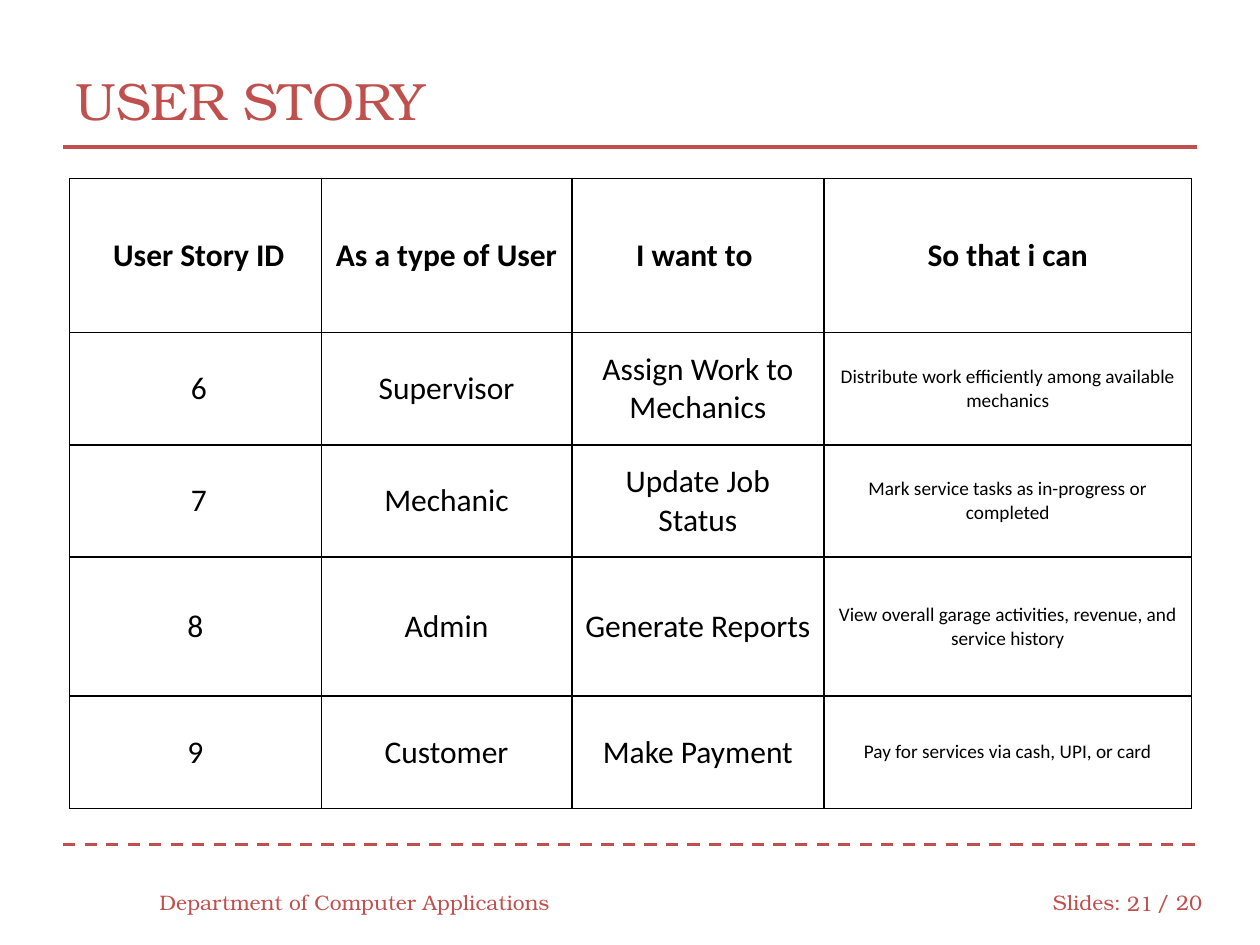
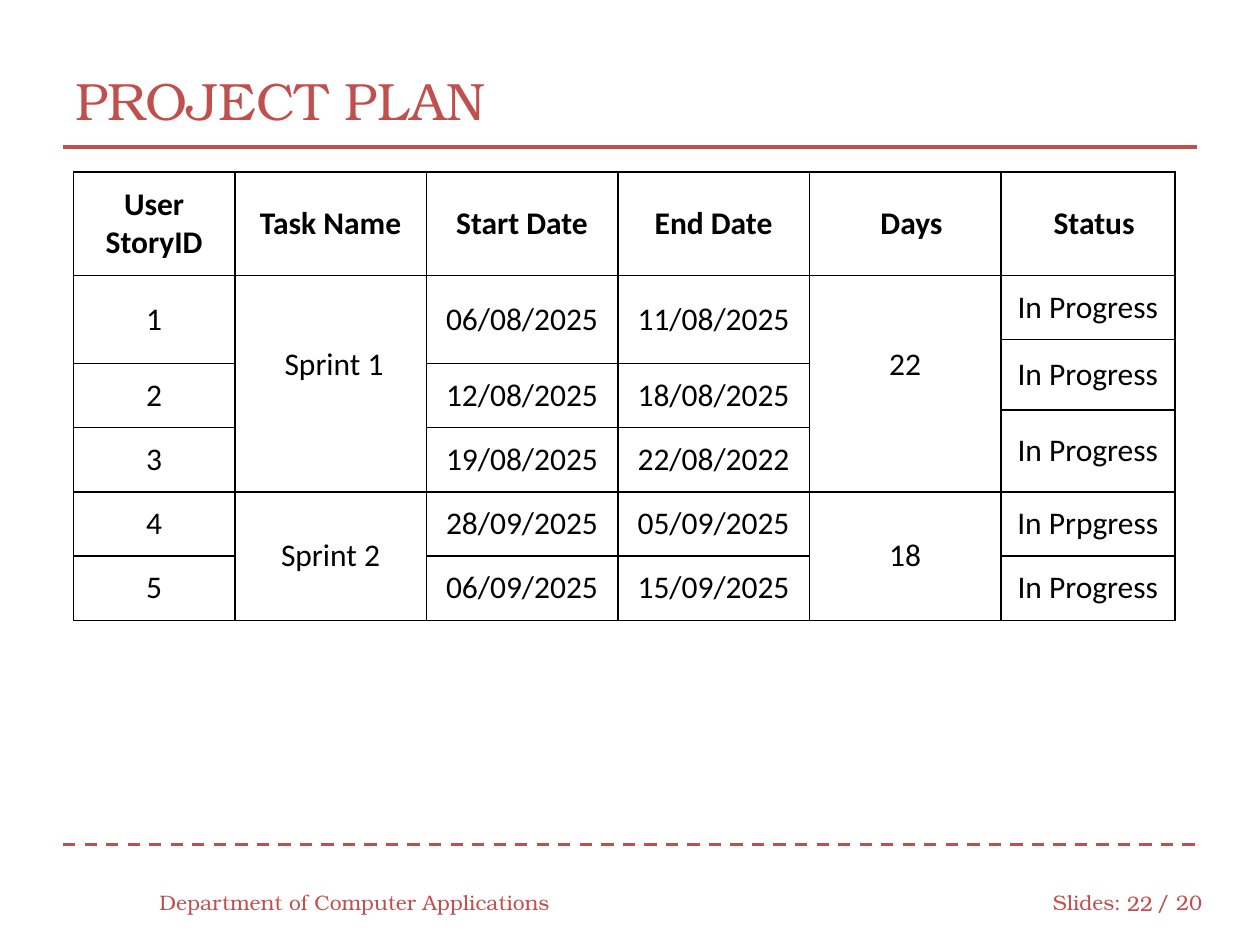
from pptx import Presentation
from pptx import util as u
from pptx.dml.color import RGBColor
from pptx.enum import dml, shapes, text
from pptx.oxml import parse_xml
from pptx.oxml.ns import nsdecls
from lxml import etree

RED = RGBColor(0xC0, 0x50, 0x4D)
BLACK = RGBColor(0, 0, 0)
WHITE = RGBColor(0xFF, 0xFF, 0xFF)
DISPLAY_FONT = "TeX Gyre Bonum"
TABLE_FONT = "Calibri"
UNIT = u.Inches(1) // 12
CELL_MARGIN = u.Inches(0.1)
LEFT, RIGHT = text.PP_ALIGN.LEFT, text.PP_ALIGN.RIGHT

TITLE_BOX = (6, 4, 108, 11)
FOOTER_BOX = (14, 83.5, 100, 4.8)
STORY_BOX = (6.6, 17, 106.9, 60)
PLAN_BOX = (7, 16.4, 104.9, 42.7)

STORY_COLS = [2, 1.99, 2, 2.92]
STORY_ROWS = [1.22, 0.89, 0.89, 1.1, 0.89]
STORIES = [
    [" User Story ID", "As a type of User", "I want to ", "So that i can"],
    [" 6", "Supervisor", "Assign Work to Mechanics",
     "Distribute work efficiently among available mechanics"],
    [" 7", "Mechanic", "Update Job Status",
     "Mark service tasks as in-progress or completed"],
    ["8", "Admin", "Generate Reports",
     "View overall garage activities, revenue, and service history"],
    ["9", "Customer", "Make Payment", "Pay for services via cash, UPI, or card"],
]

PLAN_COLS = [1.28, 1.52, 1.52, 1.52, 1.52, 1.38]
PLAN_ROWS = [0.82, 0.51, 0.19, 0.37, 0.14, 0.51, 0.51, 0.51]
PLAN_HEADERS = ["User\nStoryID", "Task Name", "Start Date", "End Date", "Days", "Status"]
TASKS = [
    (1, 2, "1", "06/08/2025", "11/08/2025"),
    (3, 2, "2", "12/08/2025", "18/08/2025"),
    (5, 1, "3", "19/08/2025", "22/08/2022"),
    (6, 1, "4", "28/09/2025", "05/09/2025"),
    (7, 1, "5", "06/09/2025", "15/09/2025"),
]
SPRINTS = [(1, 5, " Sprint 1", "22"), (6, 2, "Sprint 2", "18")]
STATUSES = [
    (1, 1, "In Progress"),
    (2, 2, "In Progress"),
    (4, 2, "In Progress"),
    (6, 1, "In Prpgress"),
    (7, 1, "In Progress"),
]


def grid(*values):
    return [round(v * UNIT) for v in values]


def add_run(p, content, size, font, color, bold=False):
    r = p.add_run()
    r.text = content
    r.font.size = u.Pt(size)
    r.font.name = font
    r.font.color.rgb = color
    r.font.bold = bold


def add_label(s, box, content, size=12, align=LEFT):
    tf = s.shapes.add_textbox(*grid(*box)).text_frame
    tf.word_wrap = True
    tf.vertical_anchor = text.MSO_ANCHOR.MIDDLE
    p = tf.paragraphs[0]
    p.alignment = align
    add_run(p, content, size, DISPLAY_FONT, RED)


def add_rule(s, x, y, w, dash=None):
    line = s.shapes.add_connector(shapes.MSO_CONNECTOR.STRAIGHT, *grid(x, y, x + w, y))
    line.line.color.rgb = RED
    line.line.width = u.Pt(1.75)
    if dash:
        line.line.dash_style = dash
    line._element.spPr.append(parse_xml(f"<a:effectLst {nsdecls('a')}/>"))


def add_header(s, box, title):
    x, y, w, h = box
    add_rule(s, x, y + h - 1, w)
    add_label(s, box, title, 30)


def add_footer(s, box, number):
    x, y, w, h = box
    add_rule(s, TITLE_BOX[0], y - 3.1, TITLE_BOX[2], dml.MSO_LINE.DASH)
    add_label(s, (x, y, 0.4 * w, h), "Department of Computer Applications")
    add_label(s, (x + 0.851 * w, y, 0.09 * w, h), "Slides:")
    add_label(s, (x + 0.92 * w, y + 0.1, 0.05 * w, h), number, align=RIGHT)
    add_label(s, (x + 0.95 * w, y, 0.07 * w, h), "/ 20")


def style_cell(cell):
    cell.fill.solid()
    cell.fill.fore_color.rgb = WHITE
    cell.vertical_anchor = text.MSO_ANCHOR.MIDDLE
    cell.margin_left = cell.margin_right = CELL_MARGIN
    cell.margin_top = cell.margin_bottom = CELL_MARGIN
    tcPr = cell._tc.get_or_add_tcPr()
    for i, side in enumerate(("lnL", "lnR", "lnT", "lnB")):
        border = etree.fromstring(
            f'<a:{side} {nsdecls("a")} w="12700"><a:solidFill>'
            f'<a:srgbClr val="{BLACK}"/></a:solidFill></a:{side}>')
        tcPr.insert(i, border)


def add_table(s, box, cols, rows):
    x, y, w, h = box
    table = s.shapes.add_table(len(rows), len(cols), *grid(x, y, w, h)).table
    for col, share in zip(table.columns, cols):
        col.width = round(w * UNIT * share / sum(cols))
    for row, share in zip(table.rows, rows):
        row.height = round(h * UNIT * share / sum(rows))
    for cell in table.iter_cells():
        style_cell(cell)
    return table


def fill_cell(table, row, col, content, span=1, size=18, bold=False):
    cell = table.cell(row, col)
    if span > 1:
        cell.merge(table.cell(row + span - 1, col))
    tf = cell.text_frame
    for i, line in enumerate(content.split("\n")):
        p = tf.add_paragraph() if i else tf.paragraphs[0]
        p.alignment = text.PP_ALIGN.CENTER
        add_run(p, line, size, TABLE_FONT, BLACK, bold)
    return cell


def add_story_table(s, box):
    table = add_table(s, box, STORY_COLS, STORY_ROWS)
    for row, story in enumerate(STORIES):
        for col, content in enumerate(story):
            size = 11 if row and col == 3 else 18
            fill_cell(table, row, col, content, size=size, bold=row == 0)


def add_plan_table(s, box):
    table = add_table(s, box, PLAN_COLS, PLAN_ROWS)
    for col, header in enumerate(PLAN_HEADERS):
        cell = fill_cell(table, 0, col, header, bold=True)
        if header in ("Days", "Status"):
            cell.margin_left = 2 * CELL_MARGIN
    for row, span, story_id, start, end in TASKS:
        for col, content in ((0, story_id), (2, start), (3, end)):
            fill_cell(table, row, col, content, span)
    for row, span, sprint, days in SPRINTS:
        for col, content in ((1, sprint), (4, days)):
            cell = fill_cell(table, row, col, content, span)
            if row == 1:
                cell.margin_bottom = 4 * CELL_MARGIN
    for row, span, status in STATUSES:
        fill_cell(table, row, 5, status, span)


def add_table_slide(prs, title, number, add_content, box):
    s = prs.slides.add_slide(prs.slide_layouts[6])
    s.background.fill.solid()
    s.background.fill.fore_color.rgb = WHITE
    add_header(s, TITLE_BOX, title)
    add_footer(s, FOOTER_BOX, number)
    add_content(s, box)


def main():
    prs = Presentation()
    prs.slide_width, prs.slide_height = grid(120, 90)
    add_table_slide(prs, "USER STORY", "21", add_story_table, STORY_BOX)
    add_table_slide(prs, "PROJECT PLAN", "22", add_plan_table, PLAN_BOX)
    prs.save("out.pptx")


if __name__ == "__main__":
    main()
